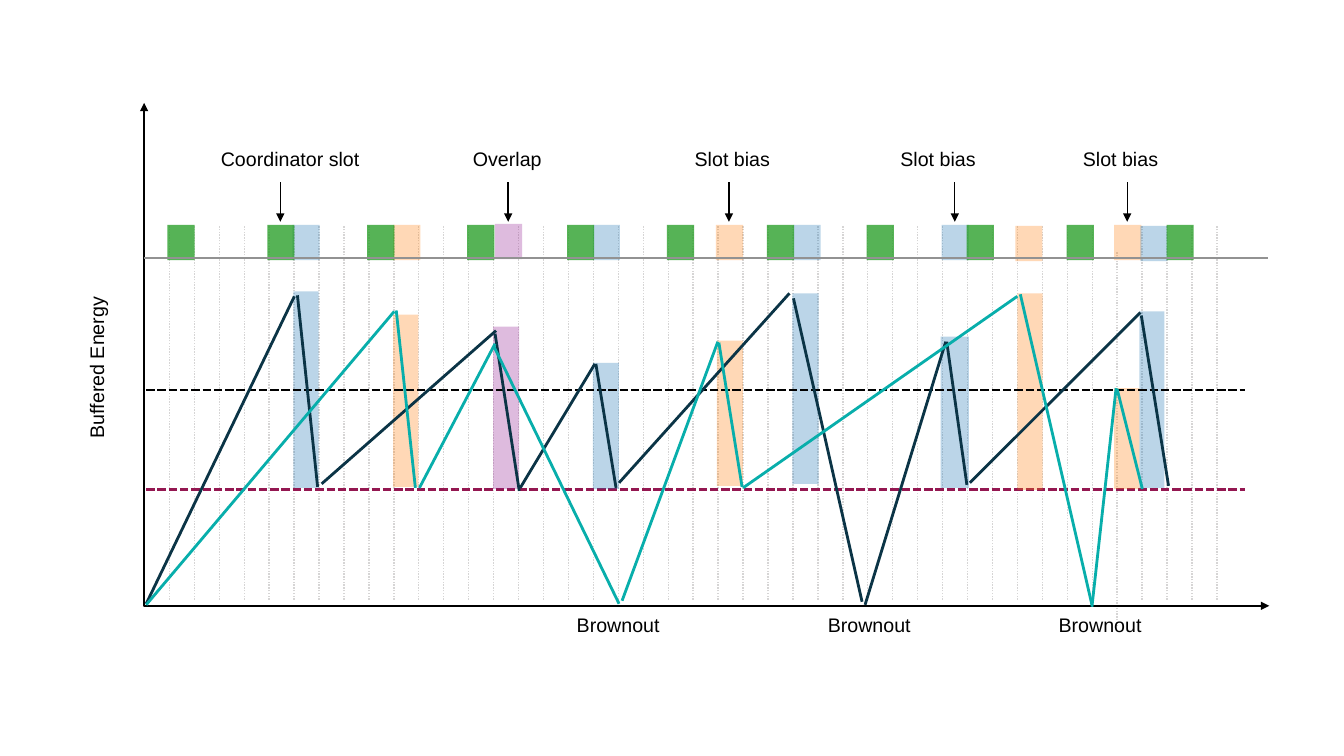
"""Build a slide charting buffered energy against coordinator slots."""
from pptx import Presentation
from pptx.dml.color import RGBColor
from pptx.enum.dml import MSO_LINE
from pptx.enum.shapes import MSO_CONNECTOR, MSO_SHAPE
from pptx.enum.text import MSO_ANCHOR, MSO_AUTO_SIZE
from pptx.oxml.ns import qn
from pptx.util import Inches, Pt
from lxml import etree

STRAIGHT = MSO_CONNECTOR.STRAIGHT
RECTANGLE = MSO_SHAPE.RECTANGLE
MIDDLE = MSO_ANCHOR.MIDDLE
GROW = MSO_AUTO_SIZE.SHAPE_TO_FIT_TEXT
DOTTED = MSO_LINE.ROUND_DOT
DASHED = MSO_LINE.SQUARE_DOT

BLACK = RGBColor(0x00, 0x00, 0x00)
GRAY = RGBColor(0x92, 0x92, 0x92)
LIGHT_GRAY = RGBColor(0xD6, 0xD5, 0xD5)
GREEN = RGBColor(0x2C, 0xA0, 0x2C)
BLUE = RGBColor(0x1F, 0x77, 0xB4)
ORANGE = RGBColor(0xFF, 0x7F, 0x0E)
PURPLE = RGBColor(0x94, 0x21, 0x92)
MAROON = RGBColor(0x94, 0x17, 0x51)
NAVY = RGBColor(0x0B, 0x34, 0x46)
TEAL = RGBColor(0x08, 0xAE, 0xAB)

GRID_LEFT, GRID_RIGHT, GRID_STEPS = 1.68, 12.07, 42
LONG_GRID_STEP = 38
SLOT_LEFT, SLOT_RIGHT, SLOT_STEPS = 1.66, 11.57, 10
SLOT_WIDTH, SLOT_HEIGHT, SLOT_TOP = 0.27, 0.35, 2.23

NODE_SLOTS = [
    (2.9, 2.23, BLUE), (3.9, 2.23, ORANGE), (4.91, 2.22, PURPLE),
    (5.88, 2.23, BLUE), (7.1, 2.23, ORANGE), (7.87, 2.23, BLUE),
    (9.34, 2.23, BLUE), (10.07, 2.24, ORANGE), (11.05, 2.23, ORANGE),
    (11.31, 2.24, BLUE),
]
DISCHARGES = [
    (2.91, 2.89, 0.25, 1.95, BLUE), (3.9, 3.12, 0.25, 1.71, ORANGE),
    (4.89, 3.24, 0.26, 1.61, PURPLE), (5.88, 3.6, 0.26, 1.25, BLUE),
    (7.11, 3.38, 0.26, 1.44, ORANGE), (7.86, 2.91, 0.26, 1.89, BLUE),
    (9.33, 3.34, 0.28, 1.5, BLUE), (10.09, 2.91, 0.25, 1.95, ORANGE),
    (11.3, 3.09, 0.25, 1.75, BLUE), (11.05, 3.85, 0.25, 1, ORANGE),
]
NAVY_TRACE = [
    (1.45, 5.99, 2.92, 2.94), (3.15, 4.83, 2.95, 2.93),
    (3.19, 4.8, 4.92, 3.28), (5.15, 4.87, 4.91, 3.31),
    (5.16, 4.84, 5.9, 3.61), (6.11, 4.84, 5.91, 3.61),
    (6.14, 4.79, 7.83, 2.91), (8.55, 5.97, 7.87, 2.96),
    (8.58, 6, 9.38, 3.39), (9.59, 4.81, 9.39, 3.39),
    (9.62, 4.79, 11.31, 3.1), (11.59, 4.82, 11.32, 3.13),
]
TEAL_TRACE = [
    (1.45, 6, 3.91, 3.09), (4.12, 4.84, 3.93, 3.08),
    (4.16, 4.84, 4.91, 3.41), (6.14, 5.99, 4.9, 3.44),
    (6.17, 5.96, 7.12, 3.39), (7.36, 4.83, 7.13, 3.4),
    (7.37, 4.84, 10.09, 2.94), (10.83, 6, 10.12, 2.92),
    (10.83, 6.02, 11.07, 3.85), (11.33, 4.85, 11.08, 3.86),
]
SLOT_LABELS = [
    ("Coordinator slot", 2.15, 1.46, 2.78, False),
    ("Overlap", 4.65, 0.86, 5.04, True),
    ("Slot bias", 6.85, 0.83, 7.23, False),
    ("Slot bias", 8.89, 0.83, 9.47, False),
    ("Slot bias", 10.7, 0.83, 11.18, False),
]
BROWNOUT_LEFTS = [5.68, 8.17, 10.46]


def add_arrowheads(shape, *ends):
    """Put a triangle on the given ends of an outline, head before tail."""
    ln = shape._element.spPr.find(qn("a:ln"))
    for end in ends:
        etree.SubElement(ln, qn(f"a:{end}End"), type="triangle")


def add_line(s, x1, y1, x2, y2, color, width=1, dash=None, arrow=False):
    """Draw a straight line without a shadow."""
    line = s.shapes.add_connector(
        STRAIGHT, Inches(x1), Inches(y1), Inches(x2), Inches(y2))
    line.line.color.rgb = color
    line.line.width = Pt(width)
    if dash:
        line.line.dash_style = dash
    if arrow:
        add_arrowheads(line, "tail")
    etree.SubElement(line._element.spPr, qn("a:effectLst"))


def add_bar(s, left, top, width, height, color, opacity=30):
    """Draw a see-through rectangle without an outline."""
    bar = s.shapes.add_shape(
        RECTANGLE, Inches(left), Inches(top), Inches(width), Inches(height))
    bar.shadow.inherit = False
    bar.fill.solid()
    bar.fill.fore_color.rgb = color
    bar.line.fill.background()
    srgb = bar._element.spPr.find(qn("a:solidFill")).find(qn("a:srgbClr"))
    etree.SubElement(srgb, qn("a:alpha"), val=str(opacity * 1000))


def add_label(s, text, left, top, width, wrap=False, rotation=0):
    """Write a one-line label."""
    box = s.shapes.add_textbox(
        Inches(left), Inches(top), Inches(width), Inches(0.31))
    box.rotation = rotation
    tf = box.text_frame
    tf.text = text
    tf.word_wrap = wrap
    tf.auto_size = GROW
    tf.vertical_anchor = MIDDLE
    tf.margin_left = tf.margin_right = Inches(0.04)
    tf.margin_top = tf.margin_bottom = Inches(0.04)
    font = tf.paragraphs[0].runs[0].font
    font.name = "Arial"
    font.size = Pt(14)
    font.color.rgb = BLACK


def add_axes(s):
    """Draw both axes as one outline with an arrowhead at each end."""
    outline = s.shapes.build_freeform(Inches(1.43), Inches(1.02))
    outline.add_line_segments(
        [(Inches(1.43), Inches(6.01)), (Inches(12.59), Inches(6.01))],
        close=False)
    axes = outline.convert_to_shape()
    axes.shadow.inherit = False
    axes.fill.background()
    axes.line.color.rgb = BLACK
    axes.line.width = Pt(1)
    add_arrowheads(axes, "head", "tail")


def add_grid(s):
    """Draw the evenly spaced dotted time lines."""
    step = (GRID_RIGHT - GRID_LEFT) / GRID_STEPS
    for i in range(GRID_STEPS + 1):
        x = GRID_LEFT + i * step
        top, bottom = (2.5, 6.21) if i == LONG_GRID_STEP else (2.23, 5.95)
        add_line(s, x, bottom, x, top, LIGHT_GRAY, dash=DOTTED)


def add_slots(s):
    """Draw the coordinator slots and the node slots on their baseline."""
    step = (SLOT_RIGHT - SLOT_LEFT) / SLOT_STEPS
    for left, top, color in NODE_SLOTS:
        add_bar(s, left, top, SLOT_WIDTH, SLOT_HEIGHT, color)
    for i in range(SLOT_STEPS + 1):
        add_bar(s, SLOT_LEFT + i * step, SLOT_TOP, SLOT_WIDTH, SLOT_HEIGHT,
                GREEN, 80)
    add_line(s, 1.43, 2.56, 12.58, 2.56, GRAY)


def add_energy(s):
    """Draw the thresholds, the discharge bars and both energy traces."""
    add_line(s, 1.45, 4.86, 12.35, 4.86, MAROON, 2, DASHED)
    for bar in DISCHARGES:
        add_bar(s, *bar)
    add_line(s, 1.45, 3.87, 12.35, 3.87, BLACK, 2, DASHED)
    for trace, color in ((NAVY_TRACE, NAVY), (TEAL_TRACE, TEAL)):
        for segment in trace:
            add_line(s, *segment, color, 2)


def add_labels(s):
    """Write the axis, slot and brownout labels."""
    add_label(s, "Buffered Energy", 0.21, 3.49, 1.49, rotation=270)
    for text, left, width, arrow_x, wrap in SLOT_LABELS:
        add_label(s, text, left, 1.42, width, wrap)
        add_line(s, arrow_x, 1.81, arrow_x, 2.2, BLACK, arrow=True)
    for left in BROWNOUT_LEFTS:
        add_label(s, "Brownout", left, 6.04, 0.97, True)


def main():
    """Build and save the slide."""
    prs = Presentation()
    prs.slide_width = Inches(13.33)
    prs.slide_height = Inches(7.5)
    s = prs.slides.add_slide(prs.slide_layouts[6])
    add_grid(s)
    add_axes(s)
    add_slots(s)
    add_energy(s)
    add_labels(s)
    prs.save("out.pptx")


if __name__ == "__main__":
    main()
